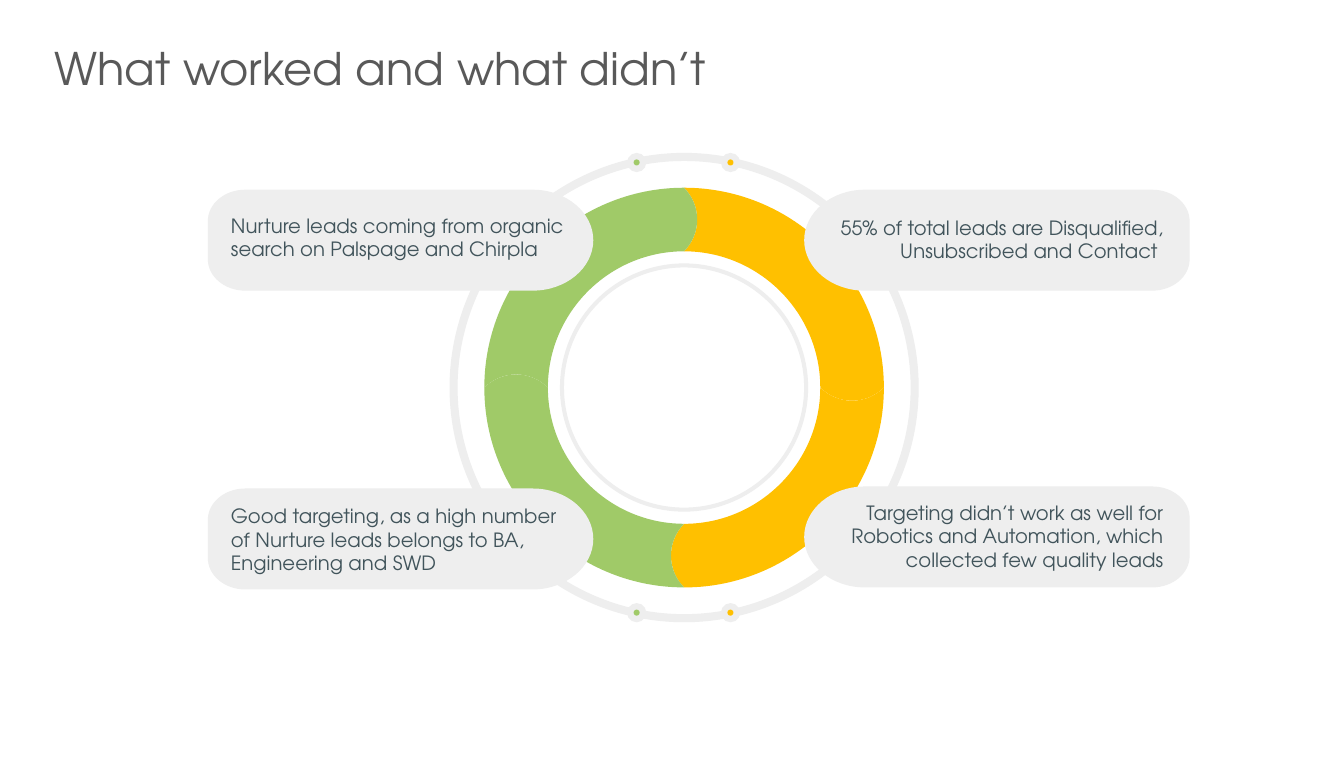
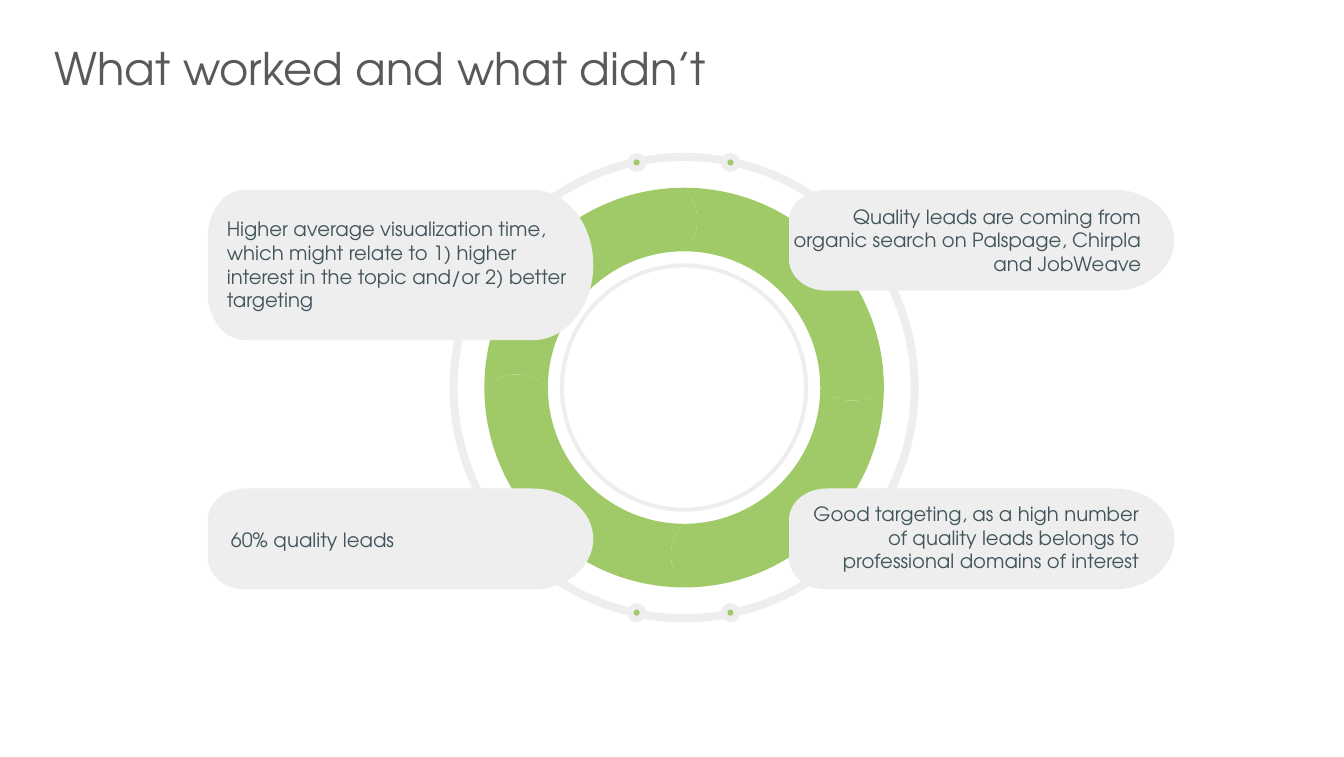
from dataclasses import dataclass
from math import cos, pi, sin

from pptx import Presentation
from pptx.dml.color import RGBColor
from pptx.enum import shapes as kinds, text as modes
from pptx.oxml.ns import qn
from pptx.util import Inches, Pt

FONT = "TeX Gyre Adventor"
HUES = {"green": "A0CA68", "gold": "FFC000", "grey": "EEEEEE",
        "title": "595959", "text": "41545B"}
MID_X, MID_Y = 6.78, 3.84
OUTER, INNER, BULGE = 1.98, 1.35, 0.13
PILL_W = 3.82
ROUND = 0.55  # handle length of a quarter circle of radius 1

Point = tuple[float, float]
Step = list[Point]  # one point for a line, three for a curve
Box = tuple[float, float, float, float]


@dataclass
class Note:
    text: str
    left: float
    top: float
    box: Box  # place of the text
    high: float = 1.0
    flip: bool = False  # round end on the left


@dataclass
class Page:
    left: str
    right: str
    notes: list[Note]


PAGES = [
    Page("green", "gold", [
        Note("55% of total leads are Disqualified, Unsubscribed and Contact ",
             7.97, 1.88, (7.82, 2.01, 3.81, 0.72), flip=True),
        Note("Nurture leads coming from organic search on Palspage and Chirpla",
             2.06, 1.88, (2.19, 1.85, 3.81, 1)),
        Note("Good targeting, as a high number of Nurture leads belongs to BA, "
             "Engineering and SWD", 2.06, 4.84, (2.19, 4.97, 3.43, 0.75)),
        Note("Targeting didn’t work as well for Robotics and Automation, which "
             "collected few quality leads",
             7.97, 4.82, (7.82, 4.95, 3.81, 0.72), flip=True),
    ]),
    Page("green", "green", [
        Note("Higher average visualization time, which might relate to 1) higher "
             "interest in the topic and/or 2) better targeting",
             2.06, 1.88, (2.15, 2, 3.66, 1.24), high=1.49),
        Note("60% quality leads", 2.06, 4.84, (2.19, 4.97, 3.81, 0.75)),
        Note("Quality leads are coming from organic search on Palspage, Chirpla "
             "and JobWeave", 7.82, 1.88, (7.6, 1.97, 3.81, 0.81)),
        Note("Good targeting, as a high number of quality leads belongs to "
             "professional domains of interest",
             7.82, 4.84, (7.95, 4.92, 3.44, 0.81)),
    ]),
]


def paint(shape, hue: str) -> None:
    shape.shadow.inherit = False
    shape.fill.solid()
    shape.fill.fore_color.rgb = RGBColor.from_string(HUES[hue])
    shape.line.fill.background()


def write(frame, words: str, size: int, hue: str, align, anchor) -> None:
    frame.margin_left = frame.margin_right = Inches(0.1)
    frame.margin_top = frame.margin_bottom = Inches(0.05)
    frame.word_wrap = True
    frame.auto_size = modes.MSO_AUTO_SIZE.NONE
    frame.vertical_anchor = anchor
    frame.text = words
    para = frame.paragraphs[0]
    para.alignment = align
    para.font.name = FONT
    para.font.size = Pt(size)
    para.font.color.rgb = RGBColor.from_string(HUES[hue])


def disc(slide, x: float, y: float, size: float, hue: str, band: float = 0) -> None:
    """Draw a circle around a centre, or a ring when band is its thickness."""
    kind = kinds.MSO_SHAPE.DONUT if band else kinds.MSO_SHAPE.OVAL
    shape = slide.shapes.add_shape(kind, Inches(x - size / 2), Inches(y - size / 2),
                                   Inches(size), Inches(size))
    if band:
        shape.adjustments[0] = band / size
    paint(shape, hue)


def outline(slide, steps: list[Step], hue: str) -> None:
    """Draw a closed outline that starts where its last step ends."""
    start = steps[-1][-1]
    pen = slide.shapes.build_freeform(Inches(start[0]), Inches(start[1]))
    pen.add_line_segments([(Inches(x), Inches(y)) for step in steps for x, y in step])
    shape = pen.convert_to_shape()
    route = next(shape.element.iter(qn("a:path")))
    lines = iter(route.findall(qn("a:lnTo")))
    for step in steps:
        first, *rest = [next(lines) for _ in step]
        if rest:
            first.tag = qn("a:cubicBezTo")
        for line in rest:
            first.append(line[0])
            route.remove(line)
    paint(shape, hue)


def arc(x: float, y: float, wide: float, high: float,
        start: float, turn: int = 1) -> Step:
    """Quarter of an ellipse; angles run clockwise from the right."""
    stop, pull = start + turn * pi / 2, turn * ROUND
    spots = [(cos(start) - pull * sin(start), sin(start) + pull * cos(start)),
             (cos(stop) + pull * sin(stop), sin(stop) - pull * cos(stop)),
             (cos(stop), sin(stop))]
    return [(x + wide * a, y + high * b) for a, b in spots]


def seam(turn: float, begin: float, end: float) -> Step:
    """Edge between two radii, bulging clockwise."""
    bow = BULGE * 4 / 3
    spots = [(begin + (end - begin) * 0.28, bow),
             (end + (begin - end) * 0.28, bow), (end, 0)]
    return [(MID_X + reach * cos(turn) - push * sin(turn),
             MID_Y + reach * sin(turn) + push * cos(turn)) for reach, push in spots]


def wheel(slide, page: Page) -> None:
    disc(slide, MID_X, MID_Y, 4.65, "grey", 0.08)
    for hue, x in ((page.left, 6.31), (page.right, 7.24)):
        for y in (1.61, 6.07):
            disc(slide, x, y, 0.19, "grey")
            disc(slide, x, y, 0.06, hue)
    for i, hue in enumerate((page.right, page.right, page.left, page.left)):
        start = (i - 1) * pi / 2
        stop = start + pi / 2
        outline(slide, [arc(MID_X, MID_Y, OUTER, OUTER, start),
                        seam(stop, OUTER, INNER),
                        arc(MID_X, MID_Y, INNER, INNER, stop, -1),
                        seam(start, INNER, OUTER)], hue)
    disc(slide, MID_X, MID_Y, 2.46, "grey", 0.04)


def pill(slide, note: Note) -> None:
    wide, high, cap = 0.37, 0.31 * note.high, 0.6
    left, top, half = note.left, note.top, note.high / 2
    right, base = left + PILL_W, top + note.high
    steps = [arc(left + wide, base - high, wide, high, pi / 2),
             [(left, top + high)],
             arc(left + wide, top + high, wide, high, pi),
             [(right - cap, top)],
             arc(right - cap, top + half, cap, half, -pi / 2),
             arc(right - cap, top + half, cap, half, 0),
             [(left + wide, base)]]
    if note.flip:
        steps = [[(left + right - x, y) for x, y in step] for step in steps]
    outline(slide, steps, "grey")


def label(slide, note: Note) -> None:
    box = slide.shapes.add_textbox(*map(Inches, note.box))
    align = modes.PP_ALIGN.LEFT if note.left < MID_X else modes.PP_ALIGN.RIGHT
    write(box.text_frame, note.text, 14, "text", align, modes.MSO_ANCHOR.MIDDLE)


def head(slide) -> None:
    title = slide.shapes.title
    title.left, title.top = Inches(0.44), Inches(0.35)
    title.width, title.height = Inches(8.9), Inches(0.64)
    write(title.text_frame, "What worked and what didn’t", 32, "title",
          modes.PP_ALIGN.LEFT, modes.MSO_ANCHOR.TOP)


def main() -> None:
    deck = Presentation()
    deck.slide_width, deck.slide_height = Inches(13.32), Inches(7.5)
    for page in PAGES:
        slide = deck.slides.add_slide(deck.slide_layouts[5])
        head(slide)
        wheel(slide, page)
        for note in page.notes:
            pill(slide, note)
            label(slide, note)
    deck.save("out.pptx")


if __name__ == "__main__":
    main()
